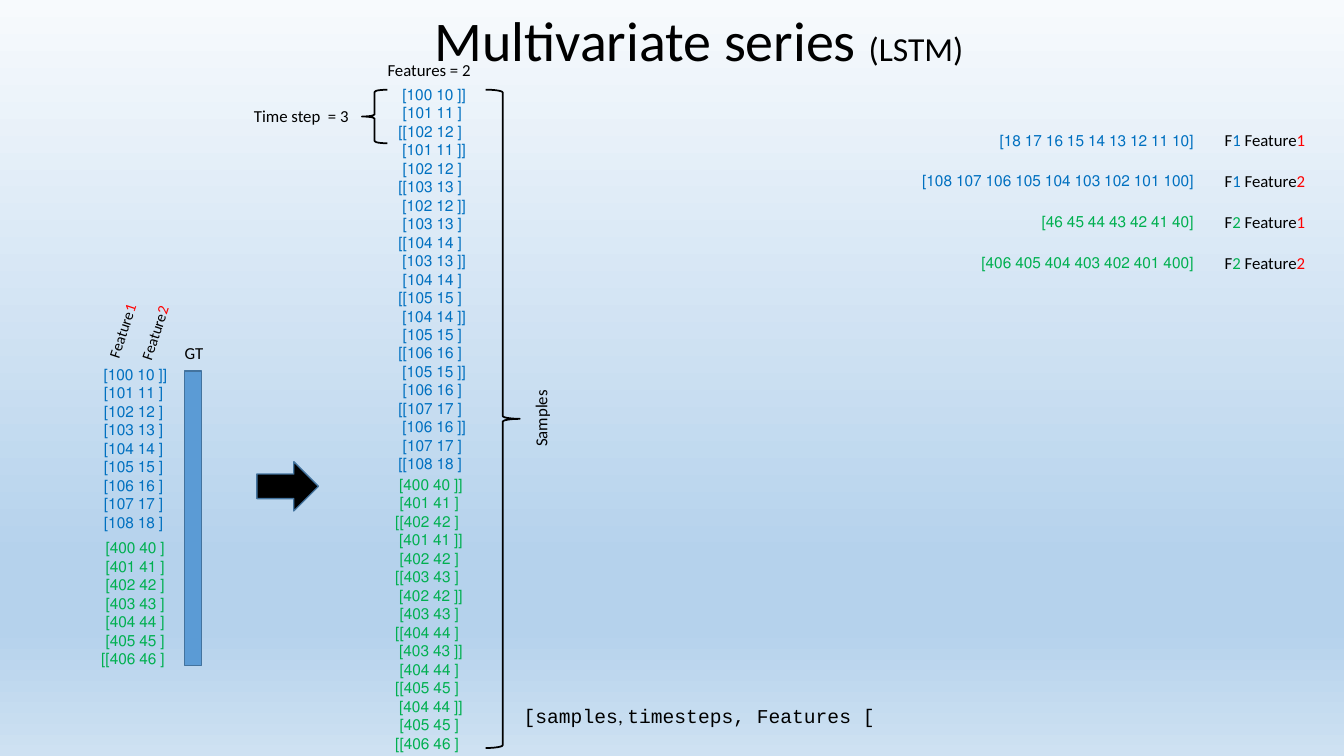
import lxml.etree
import pptx
import pptx.dml.color
import pptx.enum.shapes
import pptx.enum.text
import pptx.oxml.ns
import pptx.util

Cm = pptx.util.Cm
Pt = pptx.util.Pt
RGBColor = pptx.dml.color.RGBColor
SHAPE = pptx.enum.shapes.MSO_SHAPE
ALIGN = pptx.enum.text.PP_ALIGN
qn = pptx.oxml.ns.qn

BLACK = RGBColor(0x00, 0x00, 0x00)
RED = RGBColor(0xFF, 0x00, 0x00)
BLUE = RGBColor(0x00, 0x70, 0xC0)
GREEN = RGBColor(0x00, 0xB0, 0x50)
BAR_FILL = RGBColor(0x5B, 0x9B, 0xD5)
BAR_LINE = RGBColor(0x43, 0x73, 0x9E)
SKY = [
    (0, RGBColor(0xF7, 0xFA, 0xFD)),
    (74, RGBColor(0xB5, 0xD2, 0xEC)),
    (83, RGBColor(0xB5, 0xD2, 0xEC)),
    (100, RGBColor(0xCE, 0xE1, 0xF2)),
]

FIRST_SERIES = [(10 + i, 100 + i) for i in range(9)]
SECOND_SERIES = [(40 + i, 400 + i) for i in range(7)]
TIME_STEPS = 3


def place(part, left, top, width, height):
    part.left, part.top = Cm(left), Cm(top)
    part.width, part.height = Cm(width), Cm(height)


def add_text(slide, box, lines, size=12, align=None, rtl=False, rotation=0, wrap=True):
    label = slide.shapes.add_textbox(*map(Cm, box))
    label.rotation = rotation
    frame = label.text_frame
    frame.word_wrap = wrap
    frame.auto_size = pptx.enum.text.MSO_AUTO_SIZE.SHAPE_TO_FIT_TEXT
    for index, runs in enumerate(lines):
        paragraph = frame.add_paragraph() if index else frame.paragraphs[0]
        paragraph.alignment = align
        paragraph.font.size = Pt(size)
        paragraph.font.name = "Calibri"
        if rtl:
            paragraph._p.get_or_add_pPr().set("rtl", "1")
        for text, color in runs:
            run = paragraph.add_run()
            run.text = text
            run.font.color.rgb = color


def add_figure(slide, kind, box, line, width, fill=None, rotation=0):
    figure = slide.shapes.add_shape(kind, *map(Cm, box))
    figure.rotation = rotation
    figure.shadow.inherit = False
    figure.line.color.rgb = line
    figure.line.width = Pt(width)
    if fill is None:
        figure.fill.background()
    else:
        figure.fill.solid()
        figure.fill.fore_color.rgb = fill


def add_rows(slide, box, rows, color):
    lines = [[(row, color)] for row in rows]
    add_text(slide, box, lines, 11, ALIGN.RIGHT, rtl=True)


def pair_rows(pairs, opens=True, closes=True):
    last = len(pairs) - 1
    return [
        ("[" if opens and i == 0 else " ")
        + f"[ {a} {b}]"
        + ("]" if closes and i == last else "")
        for i, (a, b) in enumerate(pairs)
    ]


def window_rows(series):
    starts = range(len(series) - TIME_STEPS + 1)
    return [row for s in starts for row in pair_rows(series[s:s + TIME_STEPS])]


def paint_background(slide):
    fill = slide.background.fill
    fill.gradient()
    fill.gradient_angle = 270
    stops = slide.element.xpath(".//p:bg//a:gsLst")[0]
    for stop in list(stops):
        stops.remove(stop)
    for percent, color in SKY:
        stop = lxml.etree.SubElement(stops, qn("a:gs"), pos=str(percent * 1000))
        lxml.etree.SubElement(stop, qn("a:srgbClr"), val=str(color))


def fill_title(slide, box):
    title = slide.shapes.title
    place(title, *box)
    paragraph = title.text_frame.paragraphs[0]
    paragraph.alignment = ALIGN.CENTER
    paragraph.font.name = "Calibri"
    paragraph.font.color.rgb = BLACK
    for text, size in [("Multivariate series ", 40), ("(LSTM)", 24)]:
        run = paragraph.add_run()
        run.text = text
        run.font.size = Pt(size)


def fill_dimensions(slide, box):
    dimensions = slide.placeholders[1]
    place(dimensions, *box)
    paragraph = dimensions.text_frame.paragraphs[0]
    paragraph.alignment = ALIGN.CENTER
    paragraph.line_spacing = 0.9
    paragraph.space_before = Pt(10)
    paragraph.font.size = Pt(14)
    paragraph.font.color.rgb = BLACK
    for text, face in [
        ("[samples", "Courier New"),
        (", ", "Calibri"),
        ("timesteps, Features [", "Courier New"),
    ]:
        run = paragraph.add_run()
        run.text = text
        run.font.name = face


def draw_legend(slide, left, top):
    values_right, label_left, pitch = 9.55, 9.83, 1.03
    entries = [
        ("1", "1", FIRST_SERIES, BLUE, 8.92, True),
        ("1", "2", FIRST_SERIES, BLUE, 9.55, True),
        ("2", "1", SECOND_SERIES, GREEN, 4.42, False),
        ("2", "2", SECOND_SERIES, GREEN, 5.94, False),
    ]
    for index, (file, feature, series, color, width, wrap) in enumerate(entries):
        y = top + index * pitch
        numbers = " ".join(str(pair[int(feature) - 1]) for pair in series)
        add_text(slide, (left + values_right - width, y + 0.02, width, 0.74),
                 [[(f"[{numbers}]", color)]], 11, ALIGN.RIGHT, rtl=True, wrap=wrap)
        add_text(slide, (left + label_left, y, 2.77, 0.76),
                 [[("F", BLACK), (file + " ", color), ("Feature", BLACK), (feature, RED)]],
                 rtl=True)


def draw_source_table(slide, left, top):
    add_rows(slide, (left, top + 1.17, 3.66, 4.5),
             pair_rows(FIRST_SERIES, closes=False), BLUE)
    add_rows(slide, (left + 0.17, top + 5.54, 3.53, 3.56),
             pair_rows(SECOND_SERIES, opens=False), GREEN)
    for feature, dx, dy in [("1", 1.28, 0), ("2", 2.1, 0.05)]:
        add_text(slide, (left + dx, top + dy, 2.06, 0.74),
                 [[("Feature", BLACK), (feature, RED)]], 11, rtl=True, rotation=288.3)
    add_figure(slide, SHAPE.RECTANGLE, (left + 3.85, top + 1.45, 0.43, 7.42),
               BAR_LINE, 1, BAR_FILL)
    add_text(slide, (left + 3.44, top + 0.61, 1.3, 0.76), [[("GT", BLACK)]],
             align=ALIGN.CENTER)


def draw_windows(slide, left, top):
    add_rows(slide, (left + 3.22, top + 0.64, 3.18, 10.13), window_rows(FIRST_SERIES), BLUE)
    add_rows(slide, (left + 3.81, top + 10.47, 2.51, 7.32), window_rows(SECOND_SERIES), GREEN)
    add_figure(slide, SHAPE.RIGHT_BRACE, (left + 3.53, top + 0.89, 0.64, 1.35),
               BLACK, 1.25, rotation=180)
    add_figure(slide, SHAPE.RIGHT_BRACE, (left + 6.65, top + 0.89, 0.86, 16.59), BLACK, 1.25)
    add_text(slide, (left, top + 1.17, 4.01, 0.76), [[("Time step  = 3", BLACK)]],
             align=ALIGN.CENTER)
    add_text(slide, (left + 3.22, top, 4.01, 0.76), [[("Features = 2", BLACK)]],
             align=ALIGN.CENTER)
    add_text(slide, (left + 6.81, top + 8.69, 2.67, 0.97), [[("Samples", BLACK)]],
             align=ALIGN.CENTER, rtl=True, rotation=270)


def main():
    deck = pptx.Presentation()
    deck.slide_width, deck.slide_height = Cm(33.87), Cm(19.05)
    slide = deck.slides.add_slide(deck.slide_layouts[0])
    paint_background(slide)
    fill_title(slide, (2.64, 0, 29.95, 1.96))
    draw_legend(slide, 20.78, 3.15)
    draw_source_table(slide, 0.8, 7.9)
    add_figure(slide, SHAPE.DOWN_ARROW, (6.63, 11.48, 1.24, 1.55),
               BAR_LINE, 1, BLACK, rotation=270)
    draw_windows(slide, 5.59, 1.37)
    fill_dimensions(slide, (12.85, 17.68, 9.55, 0.89))
    deck.save("out.pptx")


if __name__ == "__main__":
    main()
